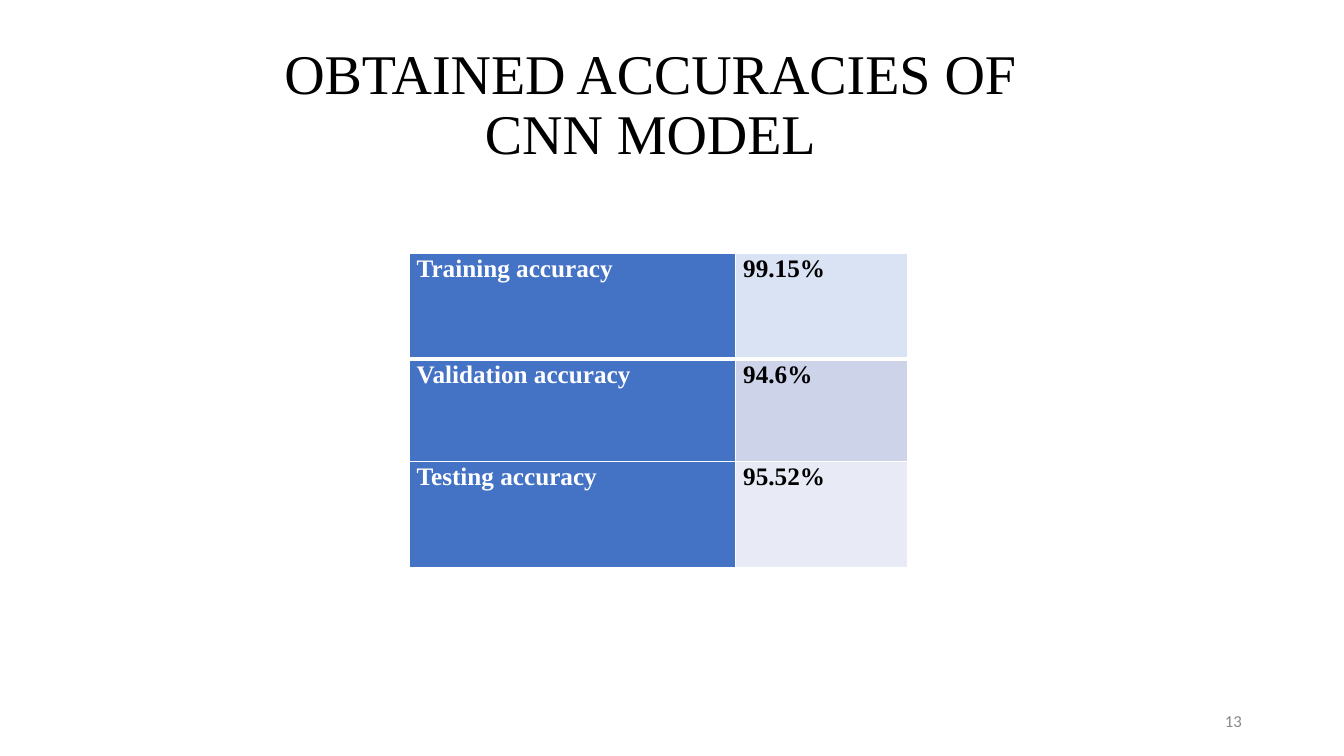
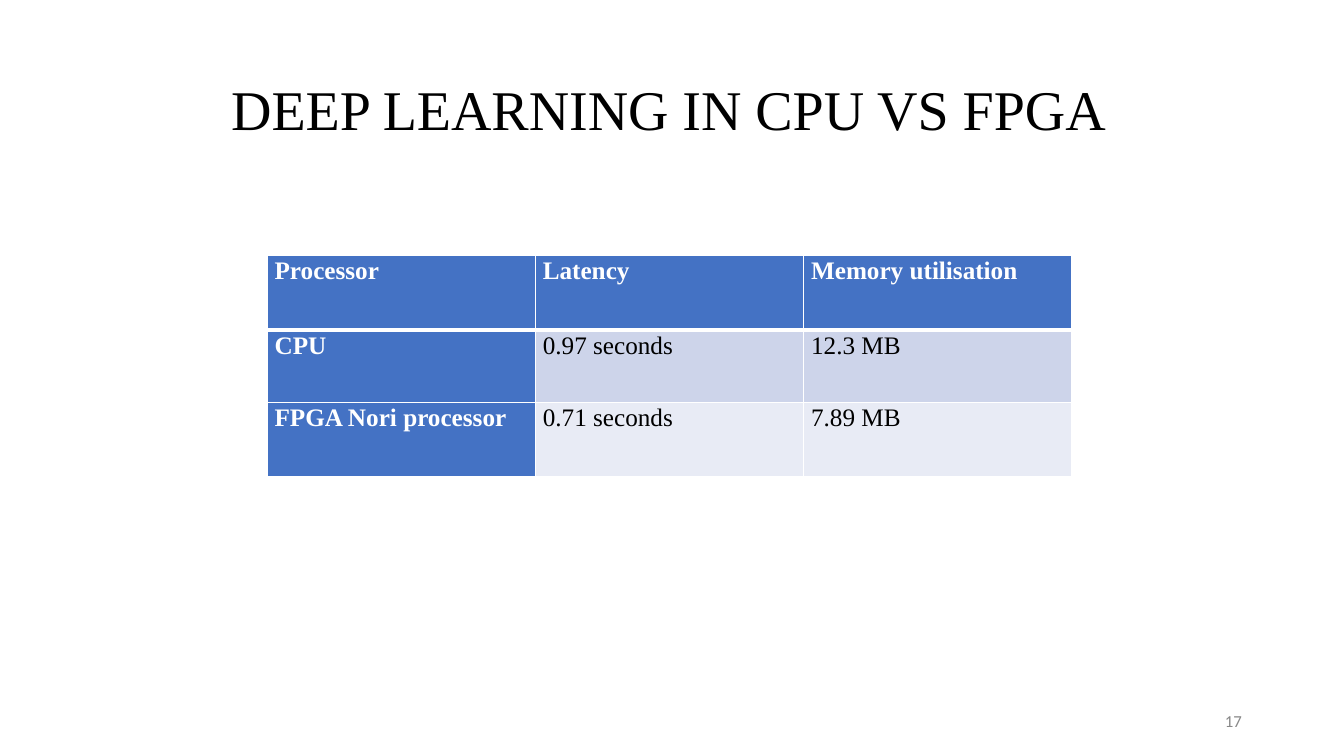
from dataclasses import dataclass

from lxml import etree
from pptx import Presentation
from pptx.dml.color import RGBColor
from pptx.enum.text import MSO_ANCHOR, PP_ALIGN
from pptx.oxml.ns import qn
from pptx.util import Cm, Pt

CENTER = PP_ALIGN.CENTER
RIGHT = PP_ALIGN.RIGHT
MIDDLE = MSO_ANCHOR.MIDDLE
BLANK_LAYOUT = 6


@dataclass(frozen=True)
class Theme:
    black: str = "000000"
    white: str = "FFFFFF"
    gray: str = "888888"
    header: str = "4472C4"
    bands: tuple = ("DAE3F3", "CDD4EA", "E8EBF5")
    serif: str = "Times New Roman"
    sans: str = "Calibri"
    title_size: int = 40
    table_size: int = 18
    number_size: int = 12
    thin_line: int = 1
    thick_line: int = 3


THEME = Theme()


def add_span(para, text, font, size, color, bold=False):
    span = para.add_run()
    span.text = text
    span.font.name = font
    span.font.size = Pt(size)
    span.font.bold = bold
    span.font.color.rgb = RGBColor.from_string(color)


def add_text_box(page, bounds, align):
    box = page.shapes.add_textbox(*(Cm(length) for length in bounds))
    frame = box.text_frame
    frame.word_wrap = True
    frame.vertical_anchor = MIDDLE
    para = frame.paragraphs[0]
    para.alignment = align
    return para


def add_title(page, text, bounds):
    para = add_text_box(page, bounds, CENTER)
    para.line_spacing = 0.9
    add_span(para, text, THEME.serif, THEME.title_size, THEME.black)


def add_page_number(page, number):
    para = add_text_box(page, (23.93, 17.65, 7.62, 1.02), RIGHT)
    add_span(para, str(number), THEME.sans, THEME.number_size, THEME.gray)


def add_borders(cell, row_index):
    top = THEME.thick_line if row_index == 1 else THEME.thin_line
    bottom = THEME.thick_line if row_index == 0 else THEME.thin_line
    widths = {"lnL": THEME.thin_line, "lnR": THEME.thin_line, "lnT": top, "lnB": bottom}
    properties = cell._tc.get_or_add_tcPr()
    for side, width in widths.items():
        line = etree.SubElement(properties, qn(f"a:{side}"), w=str(Pt(width)))
        fill = etree.SubElement(line, qn("a:solidFill"))
        etree.SubElement(fill, qn("a:srgbClr"), val=THEME.white)


def fill_cell(cell, text, row_index, is_header, bold):
    cell.margin_left = cell.margin_right = Cm(0.19)
    cell.margin_top = cell.margin_bottom = 0
    add_borders(cell, row_index)
    cell.fill.solid()
    fill_color = THEME.header if is_header else THEME.bands[row_index]
    cell.fill.fore_color.rgb = RGBColor.from_string(fill_color)
    para = cell.text_frame.paragraphs[0]
    para.line_spacing = 1.07
    para.space_after = Pt(8)
    text_color = THEME.white if is_header else THEME.black
    add_span(para, text, THEME.serif, THEME.table_size, text_color, bold)


def add_data_table(page, left, top, widths, heights, rows, header_row, bold_values):
    table = page.shapes.add_table(
        len(rows), len(widths), Cm(left), Cm(top), Cm(sum(widths)), Cm(sum(heights))
    ).table
    table.first_row = header_row
    table.first_col = True
    for column, width in zip(table.columns, widths):
        column.width = Cm(width)
    for row, height in zip(table.rows, heights):
        row.height = Cm(height)
    for row_index, values in enumerate(rows):
        for column_index, text in enumerate(values):
            is_header = column_index == 0 or (header_row and row_index == 0)
            cell = table.cell(row_index, column_index)
            fill_cell(cell, text, row_index, is_header, is_header or bold_values)


def add_page(deck, title, title_bounds, number):
    page = deck.slides.add_slide(deck.slide_layouts[BLANK_LAYOUT])
    add_title(page, title, title_bounds)
    add_page_number(page, number)
    return page


def build_accuracy_page(deck):
    page = add_page(
        deck, "OBTAINED ACCURACIES OF CNN MODEL", (5.33, 1.57, 22.12, 2.21), 13
    )
    rows = [
        ("Training accuracy", "99.15%"),
        ("Validation accuracy", "94.6%"),
        ("Testing accuracy", "95.52%"),
    ]
    add_data_table(
        page, 10.31, 6.38, (8.23, 4.32), (2.67, 2.57, 2.67), rows,
        header_row=False, bold_values=True,
    )


def build_processor_page(deck):
    page = add_page(
        deck, "DEEP LEARNING IN CPU VS FPGA", (4.01, 0.99, 25.68, 3.68), 17
    )
    rows = [
        ("Processor", "Latency", "Memory utilisation"),
        ("CPU", "0.97 seconds", "12.3 MB"),
        ("FPGA Nori processor", "0.71 seconds", "7.89 MB"),
    ]
    add_data_table(
        page, 6.73, 6.43, (6.76,) * 3, (1.88, 1.83, 1.88), rows,
        header_row=True, bold_values=False,
    )


def main():
    deck = Presentation()
    deck.slide_width = Cm(33.87)
    deck.slide_height = Cm(19.05)
    build_accuracy_page(deck)
    build_processor_page(deck)
    deck.save("out.pptx")


if __name__ == "__main__":
    main()
